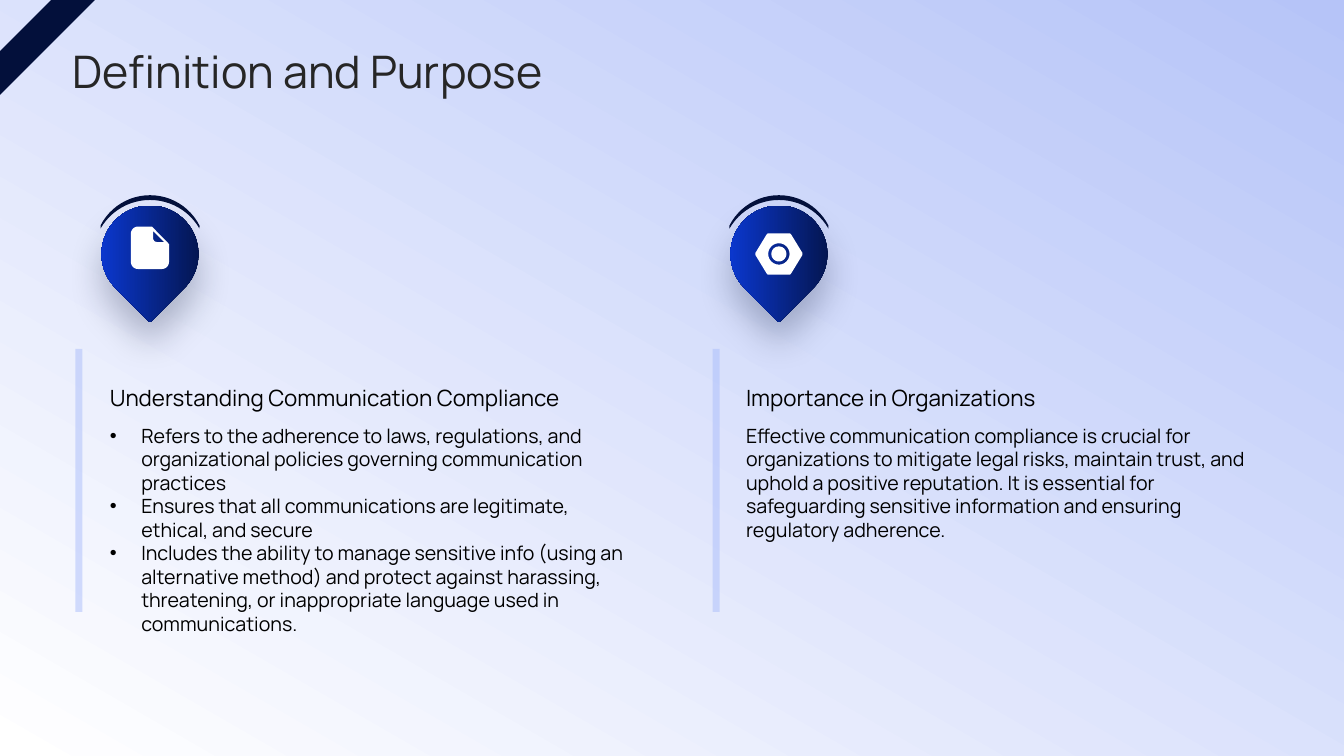
"""Build the slide on the definition and purpose of communication compliance."""
import math
from dataclasses import dataclass

import lxml.etree
import pptx
import pptx.dml.color
import pptx.enum.shapes
import pptx.enum.text
import pptx.oxml.ns
import pptx.util

Cm = pptx.util.Cm
Kind = pptx.enum.shapes.MSO_SHAPE
Anchor = pptx.enum.text.MSO_ANCHOR
qn = pptx.oxml.ns.qn

TITLE = "Definition and Purpose"
COLUMNS = [
    {
        "icon": "page",
        "head": "Understanding Communication Compliance",
        "bullet": True,
        "body": [
            "Refers to the adherence to laws, regulations, and organizational policies governing communication practices",
            "Ensures that all communications are legitimate, ethical, and secure",
            "Includes the ability to manage sensitive info (using an alternative method) and protect against harassing, threatening, or inappropriate language used in communications.",
        ],
        "pin": 3.78, "bar": 1.9, "text": 2.77, "height": 5.59,
    },
    {
        "icon": "nut",
        "head": "Importance in Organizations",
        "bullet": False,
        "body": [
            "Effective communication compliance is crucial for organizations to mitigate legal risks, maintain trust, and uphold a positive reputation. It is essential for safeguarding sensitive information and ensuring regulatory adherence.",
        ],
        "pin": 19.63, "bar": 17.96, "text": 18.8, "height": 4.04,
    },
]
WIDE, HIGH = 33.87, 19.05
PIN_Y, PIN_SIZE = 6.4, 2.44
TEXT_W, INDENT = 13.16, 0.79


@dataclass(frozen=True)
class Theme:
    """Colours, font and type sizes."""
    navy: str = "03103B"
    blue: str = "0C3EE6"
    sky: str = "B6C4F8"
    pale: str = "AABDFB"
    shade: str = "020C2C"
    white: str = "FFFFFF"
    black: str = "000000"
    ink: str = "262626"
    font: str = "Manrope"
    title: int = 32
    head: int = 16
    body: int = 14


LOOK = Theme()


def rgb(code):
    """Turn a hex code into a colour."""
    return pptx.dml.color.RGBColor.from_string(code)


def paint(shape, code):
    """Give a shape a plain fill without line or shadow."""
    shape.shadow.inherit = False
    shape.line.fill.background()
    shape.fill.solid()
    shape.fill.fore_color.rgb = rgb(code)
    return shape


def blend(shape, start, end, angle, first=0):
    """Fill a shape with a gradient at a clockwise angle."""
    shape.fill.gradient()
    shape.fill.gradient_angle = 360 - angle
    stops = shape.fill.gradient_stops
    for stop, code, place in zip(stops, (start, end), (first, 1)):
        stop.color.rgb = rgb(code)
        stop.position = place


def block(slide, kind, left, top, width, height, code):
    """Add a painted preset shape."""
    shape = slide.shapes.add_shape(kind, Cm(left), Cm(top), Cm(width), Cm(height))
    return paint(shape, code)


def arc(x, y, radius, start, end, steps=24):
    """List points along an arc, in degrees clockwise from the right."""
    turns = [math.radians(start + (end - start) * i / steps) for i in range(steps + 1)]
    return [(x + radius * math.cos(t), y + radius * math.sin(t)) for t in turns]


def outline(slide, x, y, loops, code):
    """Add a freeform of closed loops around a centre."""
    loops = [[(Cm(x + a), Cm(y + b)) for a, b in loop] for loop in loops]
    pen = slide.shapes.build_freeform(*loops[0][0])
    for i, loop in enumerate(loops):
        if i:
            pen.move_to(*loop[0])
        pen.add_line_segments(loop[1:], close=True)
    return paint(pen.convert_to_shape(), code)


def page():
    """Return the loops of the page icon."""
    sheet = ([(0.05, -0.69), (0.48, -0.25)] + arc(0.3, 0.2, 0.18, 0, 90)
             + arc(-0.3, 0.2, 0.18, 90, 180) + arc(-0.3, -0.51, 0.18, 180, 270))
    fold = [(0.08, -0.58)] + arc(0.18, -0.4, 0.1, 180, 90) + [(0.36, -0.3)]
    return [sheet, fold]


def nut():
    """Return the loops of the nut icon."""
    edge = [(0.28, -0.52), (0.31, -0.49), (0.59, -0.03)]
    right = edge + [(x, -y) for x, y in reversed(edge)]
    left = [(-x, y) for x, y in reversed(right)]
    return [right + left, arc(0, 0, 0.27, 0, 360), arc(0, 0, 0.19, 0, 360)]


ICONS = {"page": page, "nut": nut}


def write(holder, box, lines, size, code, anchor, bullet=False):
    """Place a placeholder and fill it with formatted lines."""
    holder.left, holder.top, holder.width, holder.height = map(Cm, box)
    frame = holder.text_frame
    frame.text = "\n".join(lines)
    frame.word_wrap = True
    frame.auto_size = pptx.enum.text.MSO_AUTO_SIZE.NONE
    frame.vertical_anchor = anchor
    frame.margin_left = frame.margin_right = frame.margin_top = frame.margin_bottom = 0
    for para in frame.paragraphs:
        props = para._p.get_or_add_pPr()
        shift = Cm(INDENT) if bullet else 0
        props.set("marL", str(shift))
        props.set("indent", str(-shift))
        mark = lxml.etree.SubElement(props, qn("a:buChar" if bullet else "a:buNone"))
        if bullet:
            mark.set("char", "•")
        para.alignment = pptx.enum.text.PP_ALIGN.LEFT
        para.space_before = pptx.util.Pt(0)
        para.font.name = LOOK.font
        para.font.size = pptx.util.Pt(size)
        para.font.bold = False
        para.font.color.rgb = rgb(code)


def drop(shape):
    """Add a soft shadow below a shape."""
    effects = shape.element.spPr.find(qn("a:effectLst"))
    cast = lxml.etree.SubElement(
        effects, qn("a:outerShdw"), blurRad=str(pptx.util.Pt(26)),
        dist=str(pptx.util.Pt(15)), dir="5400000", algn="t", rotWithShape="0")
    tint = lxml.etree.SubElement(cast, qn("a:srgbClr"), val=LOOK.shade)
    lxml.etree.SubElement(tint, qn("a:alpha"), val="25000")


def column(slide, item, head, body):
    """Draw one column with its pin, bar and text."""
    x = item["pin"]
    pin = block(slide, Kind.TEAR, x - PIN_SIZE / 2, PIN_Y - PIN_SIZE / 2,
                PIN_SIZE, PIN_SIZE, LOOK.blue)
    pin.rotation = 135
    blend(pin, LOOK.navy, LOOK.blue, 45, 0.01)
    drop(pin)
    cap = arc(0, -0.08, 1.4, 207, 333) + arc(0, 0.08, 1.44, 330, 210)
    outline(slide, x, PIN_Y, [cap], LOOK.navy)
    outline(slide, x, PIN_Y, ICONS[item["icon"]](), LOOK.white)
    bar = block(slide, Kind.RECTANGLE, item["bar"], 8.79, 0.18, 6.63, LOOK.pale)
    tint = bar.element.spPr.find(".//" + qn("a:srgbClr"))
    lxml.etree.SubElement(tint, qn("a:alpha"), val="50000")
    write(head, (item["text"], 8.28, TEXT_W, 2.08), [item["head"]],
          LOOK.head, LOOK.black, Anchor.BOTTOM)
    write(body, (item["text"], 10.67, TEXT_W, item["height"]), item["body"],
          LOOK.body, LOOK.black, Anchor.TOP, item["bullet"])


def main():
    """Build and save the slide."""
    deck = pptx.Presentation()
    deck.slide_width, deck.slide_height = Cm(WIDE), Cm(HIGH)
    slide = deck.slides.add_slide(deck.slide_layouts.get_by_name("Comparison"))
    title, *slots = slide.placeholders
    back = block(slide, Kind.RECTANGLE, 0, 0, WIDE, HIGH, LOOK.sky)
    blend(back, LOOK.sky, LOOK.white, 120)
    title.element.addprevious(back.element)
    for item, head, body in zip(COLUMNS, slots[::2], slots[1::2]):
        column(slide, item, head, body)
    write(title, (1.83, 1.19, 30.18, 1.19), [TITLE], LOOK.title, LOOK.ink, Anchor.MIDDLE)
    stripe = block(slide, Kind.DIAGONAL_STRIPE, 0, 0, 2.39, 2.39, LOOK.navy)
    stripe.adjustments[0] = 0.54
    deck.save("out.pptx")


if __name__ == "__main__":
    main()
